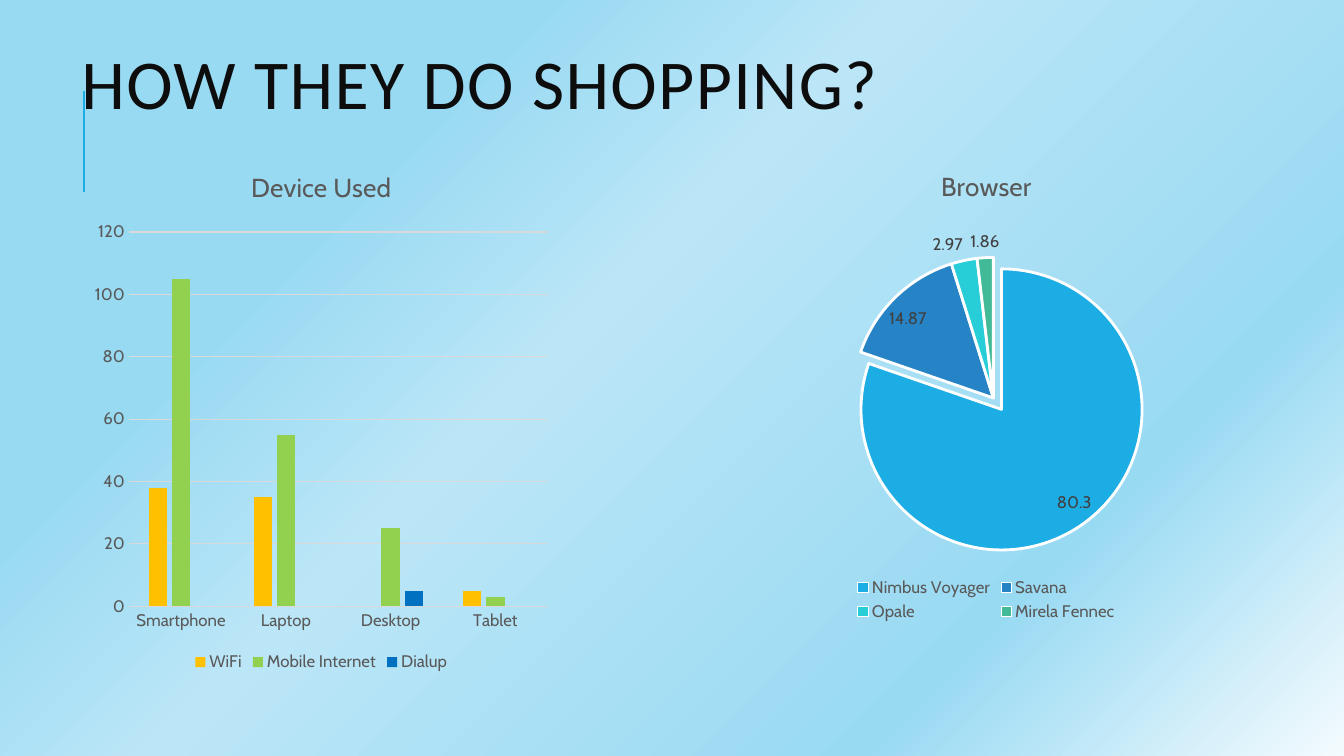
from lxml import etree
from pptx import Presentation
from pptx.chart.data import CategoryChartData
from pptx.dml.color import RGBColor
from pptx.enum.chart import XL_CHART_TYPE, XL_LABEL_POSITION, XL_LEGEND_POSITION, XL_TICK_MARK
from pptx.enum.shapes import MSO_CONNECTOR
from pptx.enum.text import MSO_ANCHOR, PP_ALIGN
from pptx.oxml.ns import qn
from pptx.util import Pt

COLUMN, PIE = XL_CHART_TYPE.COLUMN_CLUSTERED, XL_CHART_TYPE.PIE
BEST_FIT, BOTTOM, NO_TICK = XL_LABEL_POSITION.BEST_FIT, XL_LEGEND_POSITION.BOTTOM, XL_TICK_MARK.NONE
STRAIGHT, TOP, LEFT = MSO_CONNECTOR.STRAIGHT, MSO_ANCHOR.TOP, PP_ALIGN.LEFT

# Content
TITLE = "HOW THEY DO SHOPPING?"
DEVICES = ["Smartphone", "Laptop", "Desktop", "Tablet"]
CONNECTIONS = [
    ("WiFi", [38, 35, None, 5], "FFC000"),
    ("Mobile Internet", [105, 55, 25, 3], "92D050"),
    ("Dialup", [None, None, 5, None], "0070C0"),
]
BROWSERS = [
    ("Nimbus Voyager", 80.3, "1CADE4"),
    ("Savana", 14.87, "2683C6"),
    ("Opale", 2.97, "27CED7"),
    ("Mirela Fennec", 1.86, "42BA97"),
]
BACKGROUND = [(0, "F4FBFE"), (23, "99DAF3"), (57, "BBE6F7"), (74, "99DAF3")]
GREY, GRID, LABEL = "595959", "D9D9D9", "404040"


def rgb(value):
    return RGBColor.from_string(value)


def set_font(font, size, color, name="Cabin"):
    font.size, font.name, font.bold = Pt(size), name, False
    font.color.rgb = rgb(color)


def set_line(line, color, width):
    line.color.rgb = rgb(color)
    line.width = Pt(width)


def add_chart(s, kind, title, box, cats, series):
    data = CategoryChartData()
    data.categories = cats
    for name, values in series:
        data.add_series(name, values)
    chart = s.shapes.add_chart(kind, *map(Pt, box), data).chart
    set_font(chart.font, 10, "000000")
    chart.has_title = True
    tf = chart.chart_title.text_frame
    tf.text = title
    set_font(tf.paragraphs[0].runs[0].font, 18.6, GREY)
    chart.chart_title.include_in_layout = False
    chart.has_legend = True
    chart.legend.position = BOTTOM
    chart.legend.include_in_layout = False
    set_font(chart.legend.font, 12, GREY)
    return chart


prs = Presentation()
prs.slide_width, prs.slide_height = Pt(960), Pt(540)
s = prs.slides.add_slide(prs.slide_layouts[5])

# Background: gradient spreading from the lower right corner
s.background.fill.gradient()
grad = s.element.find(".//" + qn("a:gradFill"))
for child in list(grad):
    grad.remove(child)
stops = etree.SubElement(grad, qn("a:gsLst"))
for pos, color in BACKGROUND:
    stop = etree.SubElement(stops, qn("a:gs"), pos=str(pos * 1000))
    etree.SubElement(stop, qn("a:srgbClr"), val=color)
circle = etree.SubElement(grad, qn("a:path"), path="circle")
etree.SubElement(circle, qn("a:fillToRect"), l="100000", t="100000")

# Accent line beside the title
accent = s.shapes.add_connector(STRAIGHT, Pt(60), Pt(137), Pt(60), Pt(65))
set_line(accent.line, "1CADE4", 1.5)
etree.SubElement(accent._element.spPr, qn("a:effectLst"))

# Title
title = s.shapes.title
title.left, title.top, title.width, title.height = map(Pt, (51, 36, 741, 110))
tf = title.text_frame
tf.text = TITLE
tf.vertical_anchor = TOP
p = tf.paragraphs[0]
p.alignment, p.line_spacing = LEFT, 0.8
r = p.runs[0]
set_font(r.font, 50, "0D0D0D", "Calibri")
r.font._element.set("spc", "100")

# Column chart of devices
chart = add_chart(s, COLUMN, "Device Used", (61, 106, 337, 377), DEVICES,
                  [(name, values) for name, values, _ in CONNECTIONS])
plot = chart.plots[0]
plot.gap_width, plot.overlap, plot.vary_by_categories = 219, -27, False
for series, (_, _, color) in zip(plot.series, CONNECTIONS):
    series.format.fill.solid()
    series.format.fill.fore_color.rgb = rgb(color)
    series.invert_if_negative = False
for axis in (chart.category_axis, chart.value_axis):
    axis.major_tick_mark = axis.minor_tick_mark = NO_TICK
    set_font(axis.tick_labels.font, 12, GREY)
set_line(chart.category_axis.format.line, GRID, 0.75)
chart.value_axis.format.line.fill.background()
set_line(chart.value_axis.major_gridlines.format.line, GRID, 0.75)

# Pie chart of browsers, largest slice pulled out
names, shares, colors = zip(*BROWSERS)
chart = add_chart(s, PIE, "Browser", (517, 106, 375, 341), names, [("Browser", shares)])
plot = chart.plots[0]
plot.vary_by_categories = True
series = plot.series[0]
for i, color in enumerate(colors):
    fmt = series.points[i].format
    fmt.fill.solid()
    fmt.fill.fore_color.rgb = rgb(color)
    set_line(fmt.line, "FFFFFF", 2)
largest = series._element.find(qn("c:dPt"))
explosion = etree.Element(qn("c:explosion"), val="10")
largest.find(qn("c:spPr")).addprevious(explosion)
labels = series.data_labels
labels.show_value = True
labels.position = BEST_FIT
set_font(labels.font, 12, LABEL)

prs.save("out.pptx")
